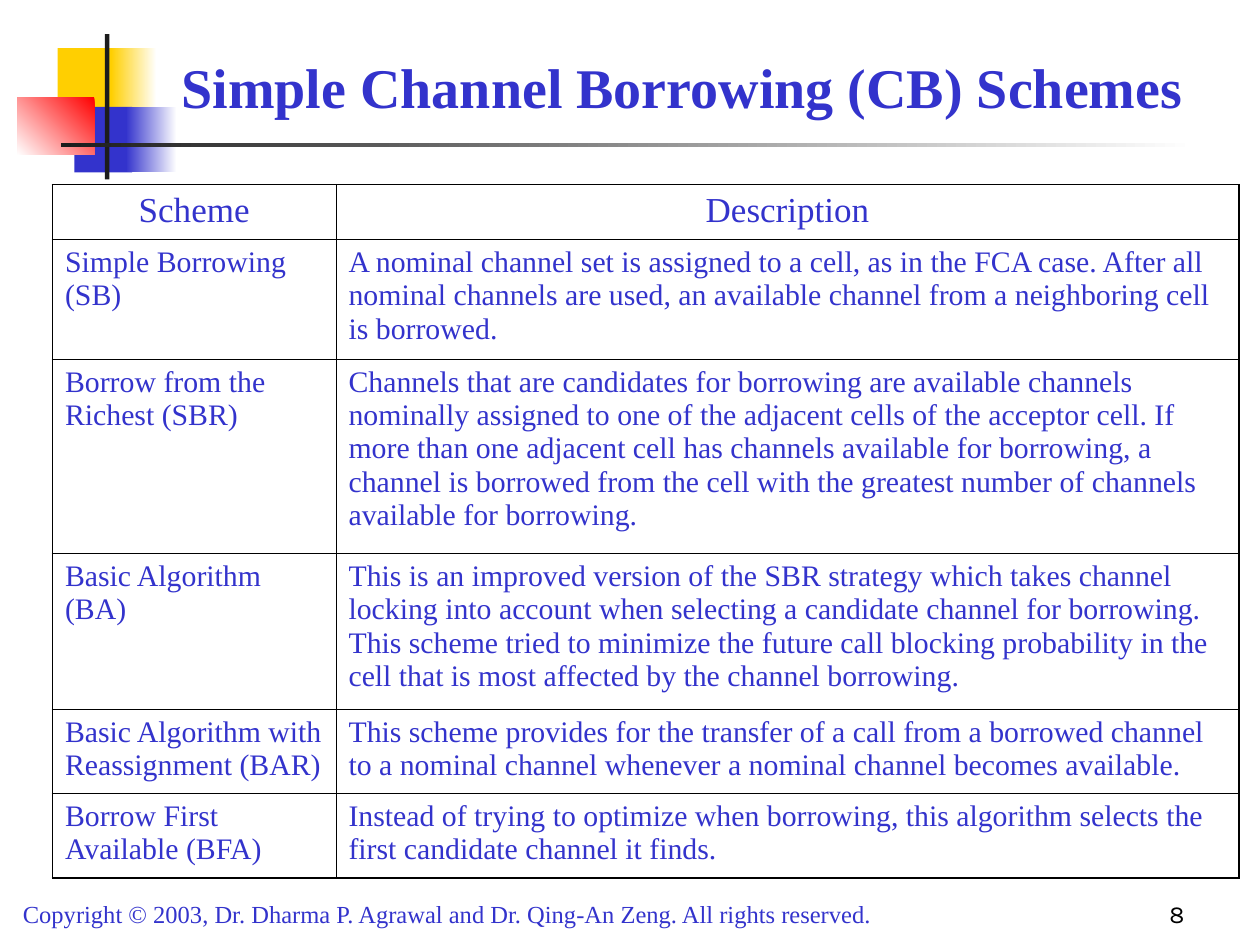
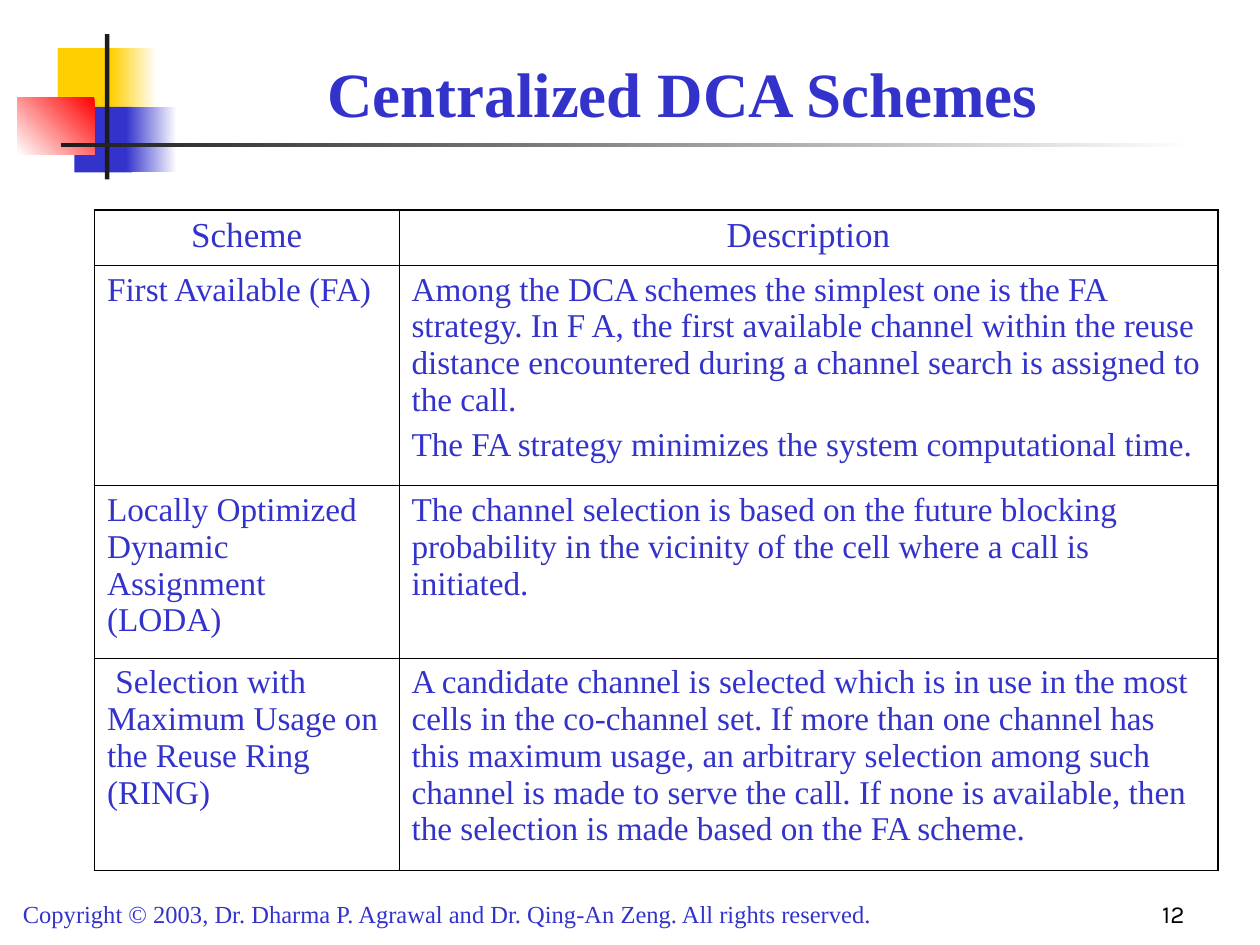
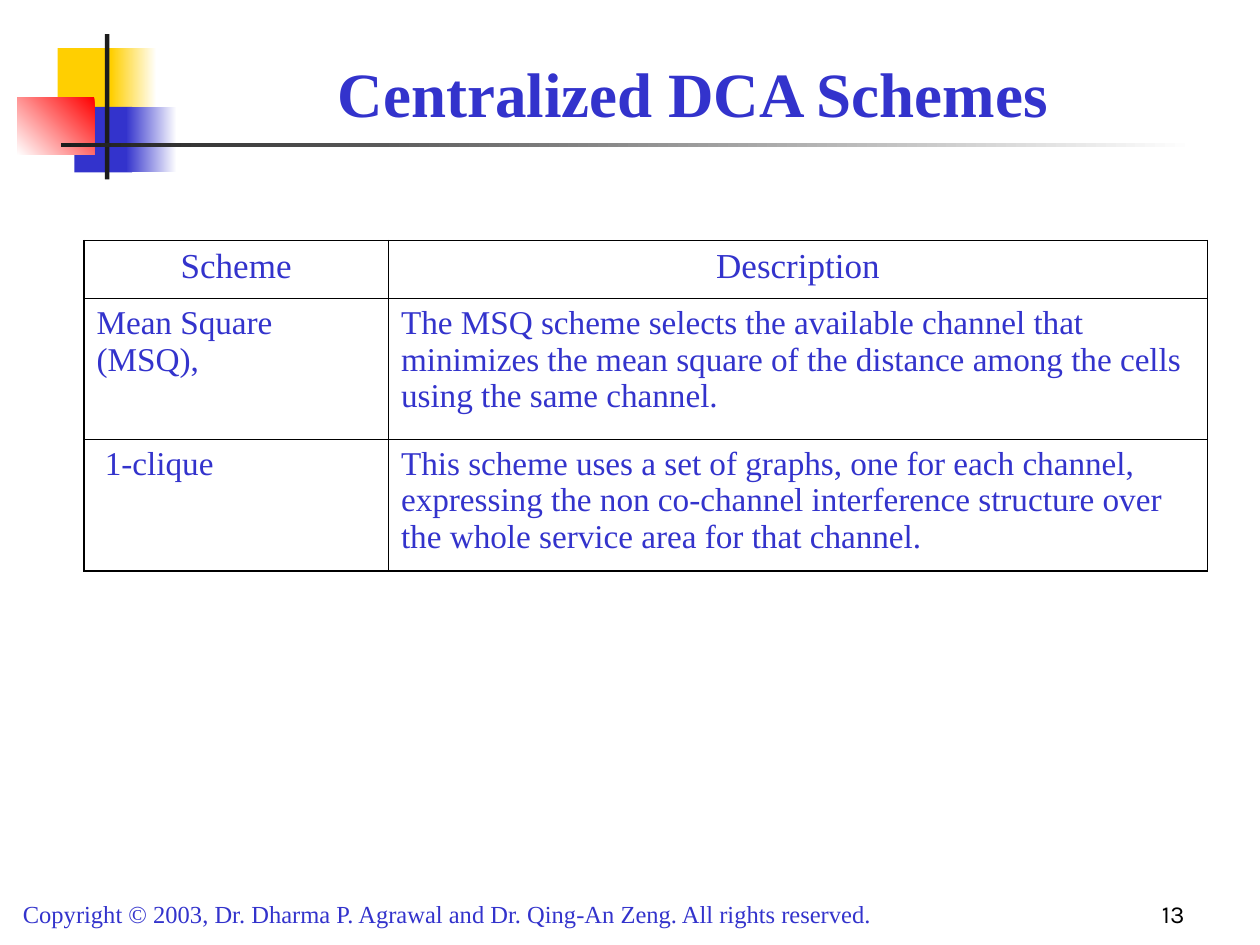
from dataclasses import dataclass

from lxml import etree
from pptx import Presentation
from pptx.dml.color import RGBColor
from pptx.enum.shapes import MSO_SHAPE
from pptx.enum.text import MSO_ANCHOR, MSO_AUTO_SIZE, PP_ALIGN
from pptx.oxml.ns import qn
from pptx.util import Pt

RECT = MSO_SHAPE.RECTANGLE
LEFT, CENTER, RIGHT = PP_ALIGN.LEFT, PP_ALIGN.CENTER, PP_ALIGN.RIGHT
TOP, BOTTOM = MSO_ANCHOR.TOP, MSO_ANCHOR.BOTTOM
FIXED, GROW = MSO_AUTO_SIZE.NONE, MSO_AUTO_SIZE.SHAPE_TO_FIT_TEXT


@dataclass(frozen=True)
class Theme:
    blue: str = "3333CC"
    yellow: str = "FFCF01"
    red: str = "FF0000"
    dark: str = "1C1C1C"
    black: str = "000000"
    white: str = "FFFFFF"
    font: str = "Times New Roman"
    number_font: str = "Karla"
    header_size: float = 20
    footer_size: float = 14
    outer_line: float = 1.08
    inner_line: float = 0.45


THEME = Theme()
TITLE_ONLY = 5
COPYRIGHT = "Copyright © 2003, Dr. Dharma P. Agrawal and Dr. Qing-An Zeng. All rights reserved."
COPYRIGHT_BOX = (6, 510, 546, 24.5)
NUMBER_BOX = (534, 498, 150, 36)
HEADER = ("Scheme", "Description")

MOTIF = [
    ((33, 27.5, 34.5, 37.5), (THEME.yellow,), 0),
    ((63.5, 27.5, 26, 37.5), (THEME.white, THEME.yellow), 180),
    ((42.5, 61, 33, 37.5), (THEME.blue,), 0),
    ((72, 61, 29, 37.5), (THEME.white, THEME.blue), 180),
    ((10, 55.5, 44, 33), (THEME.red, THEME.white), 225),
    ((60, 19.5, 2.5, 83), (THEME.dark,), 0),
    ((35, 81.5, 648, 2.5), (THEME.white, THEME.dark), 180),
]

SLIDES = [
    {
        "title": "Simple Channel Borrowing (CB) Schemes",
        "title_box": (84, 18, 612, 54),
        "title_size": 32,
        "number": "8",
        "corner": (30, 105.5),
        "columns": (162, 516),
        "heights": (31.5, 68.5, 111, 89, 48, 48.5),
        "body_size": 17,
        "space_before": 4.2,
        "schemes": [
            ("Simple Borrowing (SB)",
             "A nominal channel set is assigned to a cell, as in the FCA case. After all nominal "
             "channels are used, an available channel from a neighboring cell is borrowed."),
            ("Borrow from the Richest (SBR)",
             "Channels that are candidates for borrowing are available channels nominally assigned "
             "to one of the adjacent cells of the acceptor cell. If more than one adjacent cell has "
             "channels available for borrowing, a channel is borrowed from the cell with the "
             "greatest number of channels available for borrowing."),
            ("Basic Algorithm (BA)",
             "This is an improved version of the SBR strategy which takes channel locking into "
             "account when selecting a candidate channel for borrowing. This scheme tried to "
             "minimize the future call blocking probability in the cell that is most affected by "
             "the channel borrowing."),
            ("Basic Algorithm with Reassignment (BAR)",
             "This scheme provides for the transfer of a call from a borrowed channel to a nominal "
             "channel whenever a nominal channel becomes available."),
            ("Borrow First Available (BFA)",
             "Instead of trying to optimize when borrowing, this algorithm selects the first "
             "candidate channel it finds."),
        ],
    },
    {
        "title": "Centralized DCA Schemes",
        "title_box": (84, 24, 612, 54),
        "title_size": 36,
        "number": "12",
        "corner": (54, 120),
        "columns": (174, 468),
        "heights": (31.5, 126, 98.5, 121.5),
        "body_size": 19,
        "space_before": 4.8,
        "schemes": [
            ("First Available (FA)",
             "Among the DCA schemes the simplest one is the FA strategy. In F A, the first available "
             "channel within the reuse distance encountered during a channel search is assigned to "
             "the call.\nThe FA strategy minimizes the system computational time."),
            ("Locally Optimized Dynamic Assignment (LODA)",
             "The channel selection is based on the future blocking probability in the vicinity of "
             "the cell where a call is initiated."),
            (" Selection with Maximum Usage on the Reuse Ring (RING)",
             "A candidate channel is selected which is in use in the most cells in the co-channel "
             "set. If more than one channel has this maximum usage, an arbitrary selection among "
             "such channel is made to serve the call. If none is available, then the selection is "
             "made based on the FA scheme."),
        ],
    },
    {
        "title": "Centralized DCA Schemes",
        "title_box": (90, 12, 612, 66),
        "title_size": 36,
        "number": "13",
        "corner": (48, 137.5),
        "columns": (174, 468),
        "heights": (33, 80.5, 75.5),
        "body_size": 19,
        "space_before": 4.8,
        "schemes": [
            ("Mean Square (MSQ),",
             "The MSQ scheme selects the available channel that minimizes the mean square of the "
             "distance among the cells using the same channel."),
            (" 1-clique",
             "This scheme uses a set of graphs, one for each channel, expressing the non co-channel "
             "interference structure over the whole service area for that channel."),
        ],
    },
]


def points(box):
    return [Pt(length) for length in box]


def write(frame, text, size, font=THEME.font, color=THEME.blue, bold=False,
          align=LEFT, anchor=TOP, before=0, fit=None):
    frame.word_wrap = True
    frame.vertical_anchor = anchor
    if fit is not None:
        frame.auto_size = fit
    frame.text = text
    for paragraph in frame.paragraphs:
        paragraph.alignment = align
        paragraph.space_before = Pt(before)
        for run in paragraph.runs:
            run.font.name = font
            run.font.size = Pt(size)
            run.font.bold = bold
            run.font.color.rgb = RGBColor.from_string(color)


def add_block(slide, box, colors, angle):
    block = slide.shapes.add_shape(RECT, *points(box))
    block.shadow.inherit = False
    block.line.fill.background()
    if len(colors) == 1:
        block.fill.solid()
        block.fill.fore_color.rgb = RGBColor.from_string(colors[0])
    else:
        block.fill.gradient()
        block.fill.gradient_angle = angle
        for stop, color in zip(block.fill.gradient_stops, colors):
            stop.color.rgb = RGBColor.from_string(color)
    return block


def share_on_layout(slide):
    shared = [add_block(slide, *part) for part in MOTIF]
    footer = slide.shapes.add_textbox(*points(COPYRIGHT_BOX))
    write(footer.text_frame, COPYRIGHT, THEME.footer_size, before=8.8, fit=GROW)
    for part in shared + [footer]:
        slide.slide_layout.shapes.element.append(part.element)


def rule_cell(cell, outer_sides):
    properties = cell._tc.get_or_add_tcPr()
    for side, is_outer in zip("LRTB", outer_sides):
        width = THEME.outer_line if is_outer else THEME.inner_line
        line = etree.SubElement(properties, qn(f"a:ln{side}"), w=str(Pt(width)))
        fill = etree.SubElement(line, qn("a:solidFill"))
        etree.SubElement(fill, qn("a:srgbClr"), val=THEME.black)
    cell.fill.background()


def add_schemes(slide, content):
    rows = [HEADER] + content["schemes"]
    columns, heights = content["columns"], content["heights"]
    box = (*content["corner"], sum(columns), sum(heights))
    table = slide.shapes.add_table(len(rows), len(columns), *points(box)).table
    table.first_row = table.horz_banding = False
    for column, width in zip(table.columns, columns):
        column.width = Pt(width)
    for row, height in zip(table.rows, heights):
        row.height = Pt(height)
    header_format = {"size": THEME.header_size, "align": CENTER, "before": 5}
    body_format = {"size": content["body_size"], "before": content["space_before"]}
    for r, texts in enumerate(rows):
        for c, text in enumerate(texts):
            cell = table.cell(r, c)
            write(cell.text_frame, text, **(body_format if r else header_format))
            rule_cell(cell, (c == 0, c == len(columns) - 1, r == 0, r == len(rows) - 1))


def add_scheme_slide(deck, content):
    slide = deck.slides.add_slide(deck.slide_layouts[TITLE_ONLY])
    title = slide.shapes.title
    title.left, title.top, title.width, title.height = points(content["title_box"])
    write(title.text_frame, content["title"], content["title_size"], bold=True,
          align=CENTER, anchor=BOTTOM, fit=FIXED)
    add_schemes(slide, content)
    number = slide.shapes.add_textbox(*points(NUMBER_BOX))
    write(number.text_frame, content["number"], THEME.footer_size, font=THEME.number_font,
          color=THEME.black, align=RIGHT, anchor=BOTTOM, fit=FIXED)
    return slide


def main():
    deck = Presentation()
    deck.slide_width, deck.slide_height = Pt(720), Pt(540)
    slides = [add_scheme_slide(deck, content) for content in SLIDES]
    share_on_layout(slides[0])
    deck.save("out.pptx")


if __name__ == "__main__":
    main()
